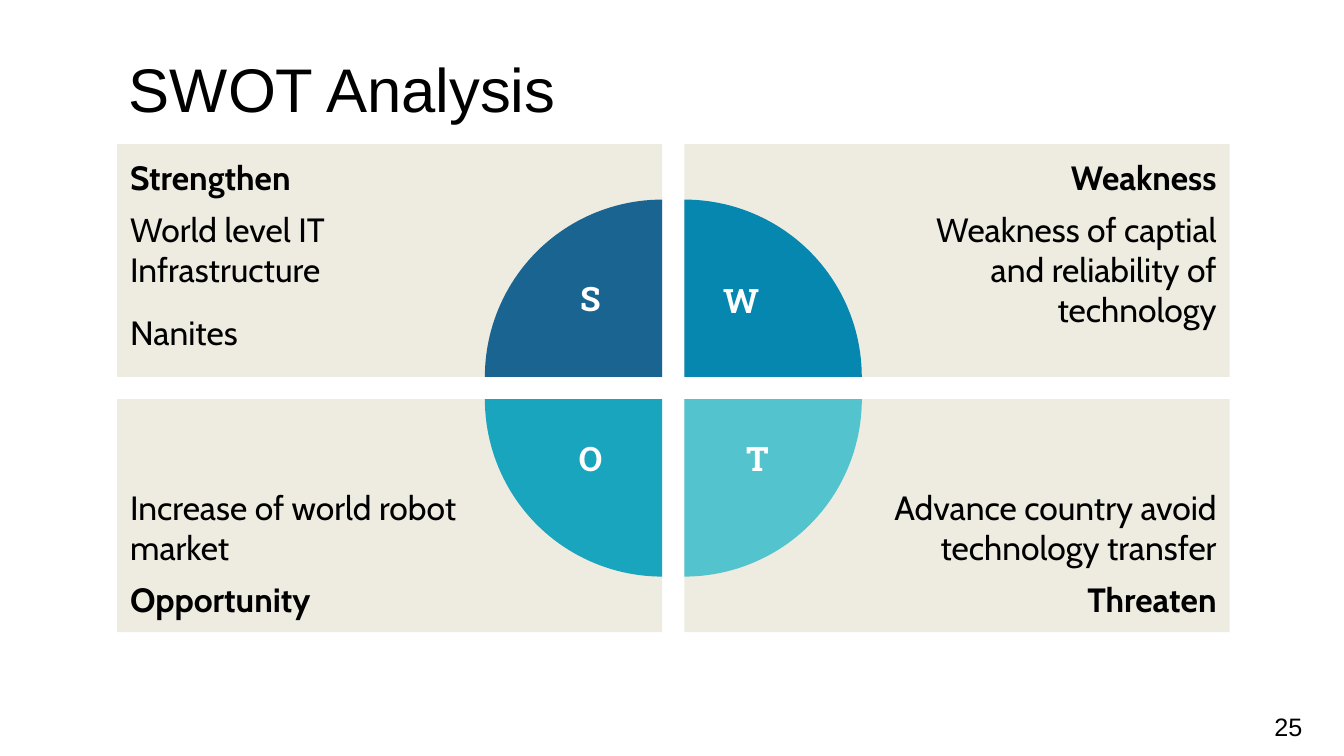
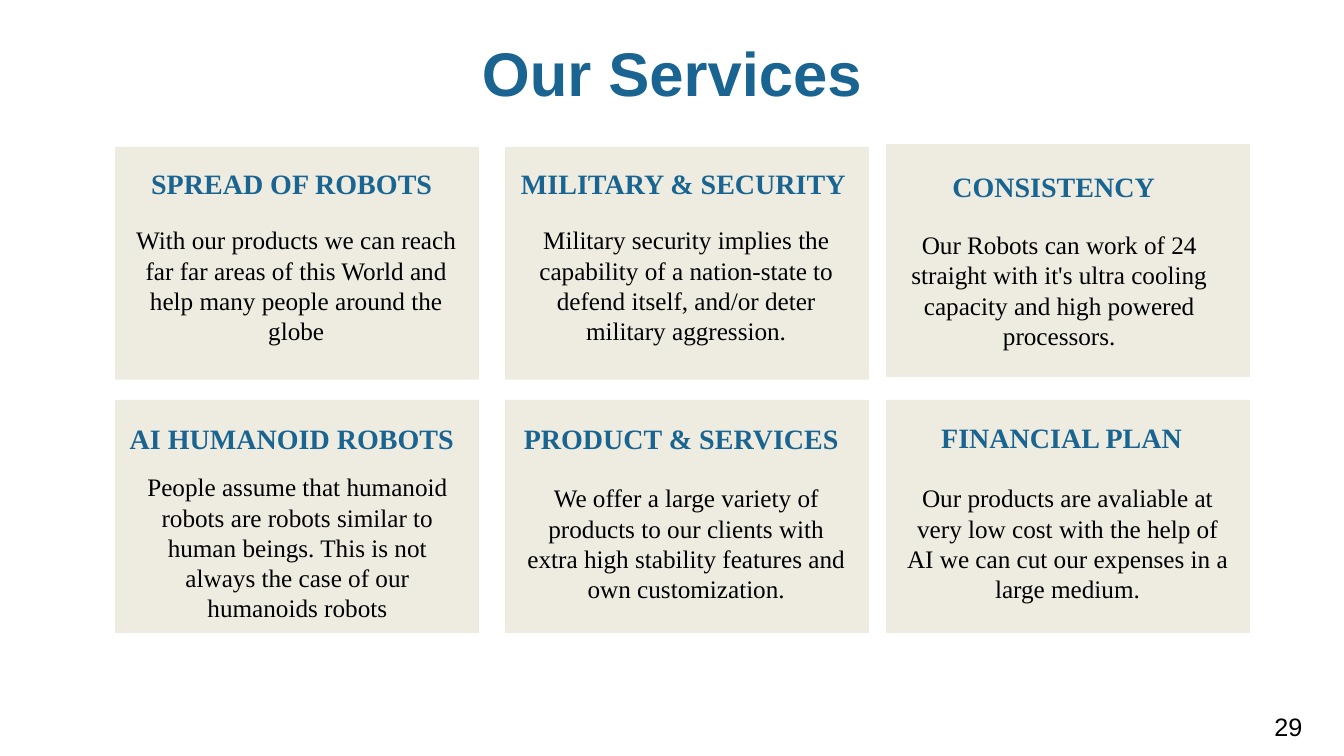
import pptx
import pptx.util
import pptx.dml.color
import pptx.enum.shapes
import pptx.enum.text

Cm, Pt = pptx.util.Cm, pptx.util.Pt
RGB = pptx.dml.color.RGBColor
SHAPE = pptx.enum.shapes.MSO_SHAPE
ALIGN = pptx.enum.text.PP_ALIGN
ANCHOR = pptx.enum.text.MSO_ANCHOR
FIT = pptx.enum.text.MSO_AUTO_SIZE

BLACK = RGB(0x00, 0x00, 0x00)
WHITE = RGB(0xFF, 0xFF, 0xFF)
SAND = RGB(0xEE, 0xEC, 0xE1)
NAVY = RGB(0x19, 0x64, 0x91)
BLUE = RGB(0x05, 0x87, 0xAF)
TEAL = RGB(0x19, 0xA5, 0xBE)
AQUA = RGB(0x53, 0xC3, 0xCD)
SERIF = "Times New Roman"

# SWOT quarters, row by row: heading, points, letter, its left and top, colour
SWOT = [
    ("Strengthen", ["World level IT Infrastructure", "Nanites"],
     "S", 14.13, 6.88, NAVY),
    ("Weakness", ["Weakness of captial and reliability of technology"],
     "W", 17.93, 6.93, BLUE),
    ("Opportunity", ["Increase of world robot market"],
     "O", 14.13, 10.9, TEAL),
    ("Threaten", ["Advance country avoid technology transfer"],
     "T", 18.34, 10.92, AQUA),
]
ARCS = [(108, 162), (162, 0), (54, 108), (0, 54)]
QUAD_X, QUAD_Y = (2.95, 17.25), (3.63, 10.06)
QUAD_W, CARD_H = 13.74, 5.87
PIE = 8.94

# Service cards, row by row: card top, heading (text, left, top, width),
# body (text, left, top)
CARDS = [
    (3.7, ("SPREAD OF ROBOTS", 3.56, 4.06, 7.92),
     ("With our products we can reach far far areas of this World and "
      "help many people around the globe", 3.12, 5.54)),
    (3.7, ("MILITARY & SECURITY", 12.88, 4.06, 8.86),
     ("Military security implies the capability of a nation-state to "
      "defend itself, and/or deter military aggression.", 12.95, 5.54)),
    (3.63, ("CONSISTENCY", 23.75, 4.14, 5.89),
     ("Our Robots can work of 24 straight with it's ultra cooling "
      "capacity and high powered processors.", 22.35, 5.66)),
    (10.08, ("AI HUMANOID ROBOTS", 3.02, 10.49, 9.17),
     ("People assume that humanoid robots are robots similar to human "
      "beings. This is not always the case of our humanoids robots",
      3.15, 11.76)),
    (10.08, ("PRODUCT & SERVICES", 12.95, 10.49, 8.71),
     ("We offer a large variety of products to our clients with extra "
      "high stability features and own customization.", 12.95, 12.04)),
    (10.08, ("FINANCIAL PLAN", 23.47, 10.46, 6.88),
     ("Our products are avaliable at very low cost with the help of AI "
      "we can cut our expenses in a large medium.", 22.56, 12.04)),
]
CARD_X, CARD_W, BODY_W = (2.9, 12.73, 22.33), 9.17, 8.69


def pad(frame, left=0.33, right=0.33):
    frame.margin_left, frame.margin_right = Cm(left), Cm(right)
    frame.margin_top = frame.margin_bottom = Cm(0.33)


def style(para, text, font, size, color, align, bold=False):
    para.text = text
    para.alignment = align
    para.font.name, para.font.size = font, Pt(size)
    para.font.color.rgb, para.font.bold = color, bold


def label(slide, area, *look):
    frame = slide.shapes.add_textbox(*map(Cm, area)).text_frame
    frame.word_wrap = True
    style(frame.paragraphs[0], *look)
    return frame


def solid(slide, kind, area, color):
    shape = slide.shapes.add_shape(kind, *map(Cm, area))
    shape.shadow.inherit = False
    shape.fill.solid()
    shape.fill.fore_color.rgb = color
    shape.line.fill.background()
    return shape


def page(deck, title, number, height, color, align, bold):
    """Add a slide with its title and page number."""
    slide = deck.slides.add_slide(deck.slide_layouts[5])
    head = slide.shapes.title
    head.left, head.top, head.width, head.height = map(
        Cm, (2.92, 0.91, 28.04, height))
    frame = head.text_frame
    frame.auto_size = FIT.NONE
    frame.vertical_anchor = ANCHOR.BOTTOM
    pad(frame)
    style(frame.paragraphs[0], title, "Arial", 44, color, align, bold)
    frame.paragraphs[0].line_spacing = 0.9
    pad(label(slide, (31.12, 17.6, 2.03, 1.45),
              number, "Arial", 18, BLACK, ALIGN.RIGHT))
    return slide


def swot(deck):
    slide = page(deck, "SWOT Analysis", "25", 2.59, BLACK, ALIGN.LEFT, False)

    # Panels: headings on the outer edge, text kept clear of the wheel
    for i, (name, points, *_) in enumerate(SWOT):
        row, col = divmod(i, 2)
        panel = solid(slide, SHAPE.RECTANGLE,
                      (QUAD_X[col], QUAD_Y[row], QUAD_W, CARD_H), SAND)
        frame = panel.text_frame
        frame.word_wrap = True
        frame.vertical_anchor = ANCHOR.BOTTOM if row else ANCHOR.TOP
        pad(frame, *((5.08, 0.33) if col else (0.33, 5.08)))
        lines = points + [name] if row else [name] + points
        for j, text in enumerate(lines):
            para = frame.add_paragraph() if j else frame.paragraphs[0]
            style(para, text, "Cabin", 24, BLACK,
                  ALIGN.RIGHT if col else ALIGN.LEFT, text == name)
            if j:
                para.space_before = para.space_after = Pt(8)

    # Wheel: each quarter is centred on its panel's inner corner
    hub_x = (QUAD_X[0] + QUAD_W, QUAD_X[1])
    hub_y = (QUAD_Y[0] + CARD_H, QUAD_Y[1])
    for i, (start, end) in enumerate(ARCS):
        row, col = divmod(i, 2)
        area = (hub_x[col] - PIE / 2, hub_y[row] - PIE / 2, PIE, PIE)
        part = solid(slide, SHAPE.PIE, area, SWOT[i][-1])
        part.adjustments[0], part.adjustments[1] = start, end

    # Letters
    for *_, mark, left, top, color in SWOT:
        label(slide, (left, top, 1.5, 1.65),
              mark, "Roboto Slab", 24, WHITE, ALIGN.CENTER, True)


def services(deck):
    slide = page(deck, "Our Services", "29", 2.18, NAVY, ALIGN.CENTER, True)
    for i, (y, head, body) in enumerate(CARDS):
        solid(slide, SHAPE.RECTANGLE,
              (CARD_X[i % 3], y, CARD_W, CARD_H), SAND)
        text, left, top, width = head
        frame = label(slide, (left, top, width, 1.12),
                      text, SERIF, 20, NAVY, ALIGN.LEFT, True)
        frame.word_wrap = False
        text, left, top = body
        label(slide, (left, top, BODY_W, 3.33),
              text, SERIF, 18, BLACK, ALIGN.CENTER)


def main():
    deck = pptx.Presentation()
    deck.slide_width, deck.slide_height = Cm(33.87), Cm(19.05)
    swot(deck)
    services(deck)
    deck.save("out.pptx")


if __name__ == "__main__":
    main()
